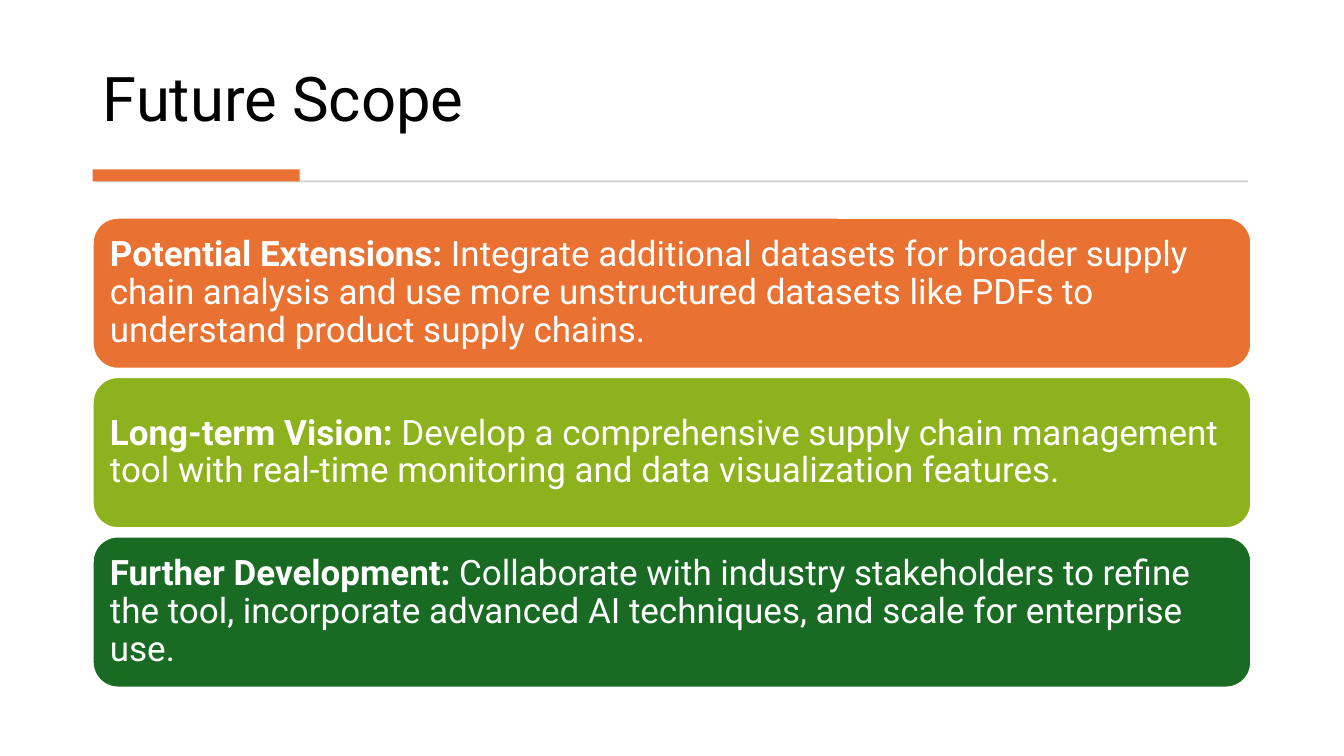
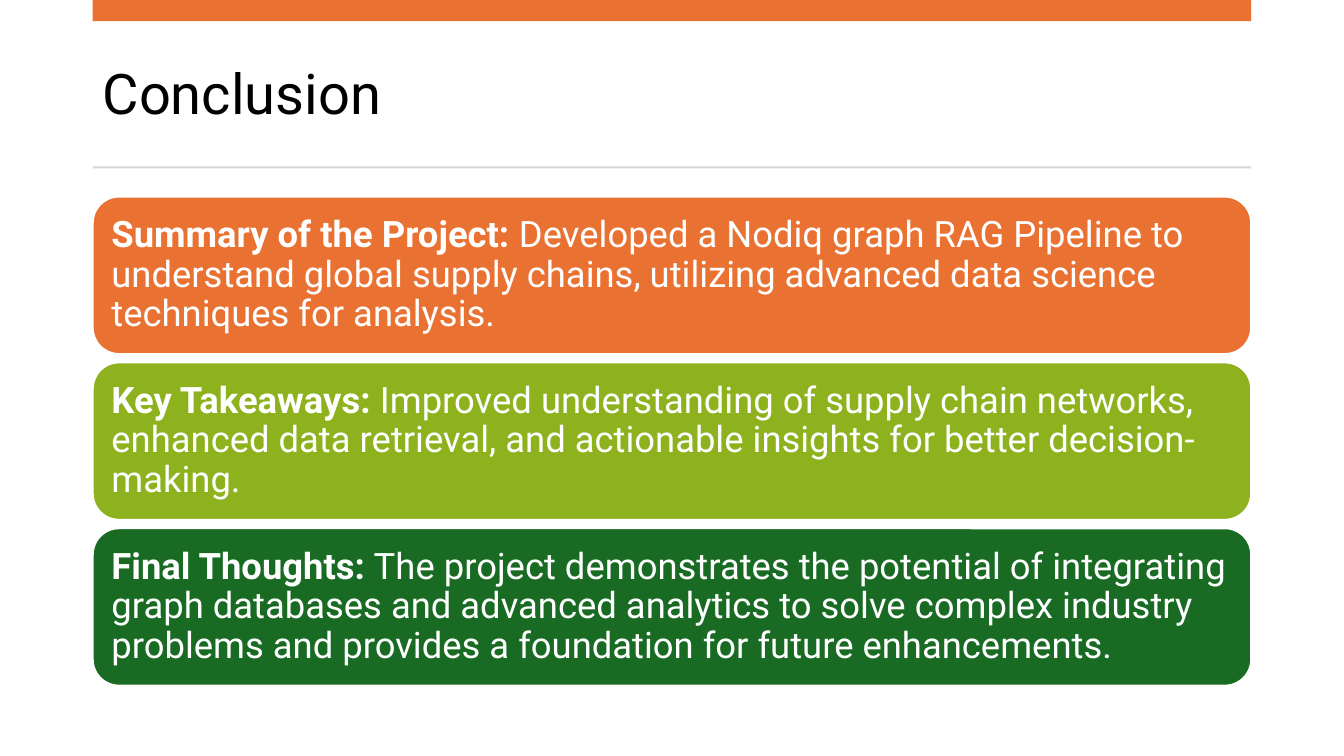
from pptx import Presentation
from pptx.dml.color import RGBColor
from pptx.enum.shapes import MSO_SHAPE
from pptx.enum.text import MSO_ANCHOR, PP_ALIGN
from pptx.util import Inches, Pt

ORANGE, LIME, GREEN = "E97132", "8EB21E", "196B24"
GREY, BLACK, WHITE = "D5D5D5", "000000", "FFFFFF"


def paint(color_format, hex_color):
    color_format.rgb = RGBColor.from_string(hex_color)


class Deck:
    """Holds the style and the current slide; lengths are percent of the slide."""

    FONT = "Roboto"
    LEFT, WIDTH = 6.9, 86.2
    RULE_HEIGHT = 0.27
    PANEL_GAP = 1.1
    PANEL_COLORS = (ORANGE, LIME, GREEN)

    def __init__(self):
        self.deck = Presentation()
        self.deck.slide_width = Inches(13.33)
        self.deck.slide_height = Inches(7.5)
        self.slide = None

    def new_slide(self):
        self.slide = self.deck.slides.add_slide(self.deck.slide_layouts[6])

    def place(self, left, top, width, height):
        """Turn percentages into left, top, width and height on the slide."""
        across, down = self.deck.slide_width / 100, self.deck.slide_height / 100
        return (round(left * across), round(top * down),
                round(width * across), round(height * down))

    def style(self, paragraph, size, color):
        paragraph.alignment = PP_ALIGN.LEFT
        paragraph.line_spacing = 0.9
        paragraph.font.name = self.FONT
        paragraph.font.size = Pt(size)
        paint(paragraph.font.color, color)

    def title(self, wording, top, height, size, anchor):
        box = self.slide.shapes.add_textbox(
            *self.place(self.LEFT, top, self.WIDTH, height))
        frame = box.text_frame
        frame.word_wrap = True
        frame.vertical_anchor = anchor
        frame.text = wording
        self.style(frame.paragraphs[0], size, BLACK)

    def block(self, color, top, height, left=LEFT, width=WIDTH,
              outline=MSO_SHAPE.RECTANGLE):
        """Draw a filled shape without an edge and return it."""
        shape = self.slide.shapes.add_shape(
            outline, *self.place(left, top, width, height))
        shape.shadow.inherit = False
        shape.fill.solid()
        paint(shape.fill.fore_color, color)
        shape.line.fill.background()
        return shape

    def rule(self, top, left=LEFT, width=WIDTH):
        self.block(GREY, top, self.RULE_HEIGHT, left, width)

    def panel(self, color, top, height, heading, detail, size, inset):
        panel = self.block(color, top, height, outline=MSO_SHAPE.ROUNDED_RECTANGLE)
        panel.line.width = Pt(1.5)
        panel.line.fill.solid()
        paint(panel.line.color, WHITE)
        frame = panel.text_frame
        frame.word_wrap = True
        frame.vertical_anchor = MSO_ANCHOR.MIDDLE
        frame.margin_left = frame.margin_right = Inches(inset)
        frame.margin_top = frame.margin_bottom = Inches(inset)
        paragraph = frame.paragraphs[0]
        self.style(paragraph, size, WHITE)
        lead = paragraph.add_run()
        lead.text = heading
        lead.font.bold = True
        paragraph.add_run().text = " " + detail

    def panels(self, points, top, bottom, size, inset):
        """Stack one panel per point, evenly spaced from top to bottom."""
        pitch = (bottom - top + self.PANEL_GAP) / len(points)
        for row, (color, (heading, detail)) in enumerate(
                zip(self.PANEL_COLORS, points)):
            self.panel(color, top + row * pitch, pitch - self.PANEL_GAP,
                       heading, detail, size, inset)


def future_scope(deck):
    deck.new_slide()
    deck.title("Future Scope", 3.73, 14.8, 44, MSO_ANCHOR.BOTTOM)
    deck.rule(23.87, left=7.1, width=85.75)
    deck.block(ORANGE, 22.4, 1.6, width=15.4)
    deck.panels([
        ("Potential Extensions:",
         "Integrate additional datasets for broader supply chain analysis and "
         "use more unstructured datasets like PDFs to understand product "
         "supply chains."),
        ("Long-term Vision:",
         "Develop a comprehensive supply chain management tool with real-time "
         "monitoring and data visualization features."),
        ("Further Development:",
         "Collaborate with industry stakeholders to refine the tool, "
         "incorporate advanced AI techniques, and scale for enterprise use."),
    ], top=28.8, bottom=90.95, size=25, inset=0.1)


def conclusion(deck):
    deck.new_slide()
    deck.title("Conclusion", 4.93, 15.73, 40, MSO_ANCHOR.MIDDLE)
    deck.block(ORANGE, 0, 2.8)
    deck.rule(22)
    deck.panels([
        ("Summary of the Project:",
         "Developed a Nodiq graph RAG Pipeline to understand global supply "
         "chains, utilizing advanced data science techniques for analysis."),
        ("Key Takeaways:",
         "Improved understanding of supply chain networks, enhanced data "
         "retrieval, and actionable insights for better decision-making."),
        ("Final Thoughts:",
         "The project demonstrates the potential of integrating graph "
         "databases and advanced analytics to solve complex industry problems "
         "and provides a foundation for future enhancements."),
    ], top=26, bottom=90.7, size=26, inset=0.11)


def main():
    deck = Deck()
    future_scope(deck)
    conclusion(deck)
    deck.deck.save("out.pptx")


if __name__ == "__main__":
    main()
